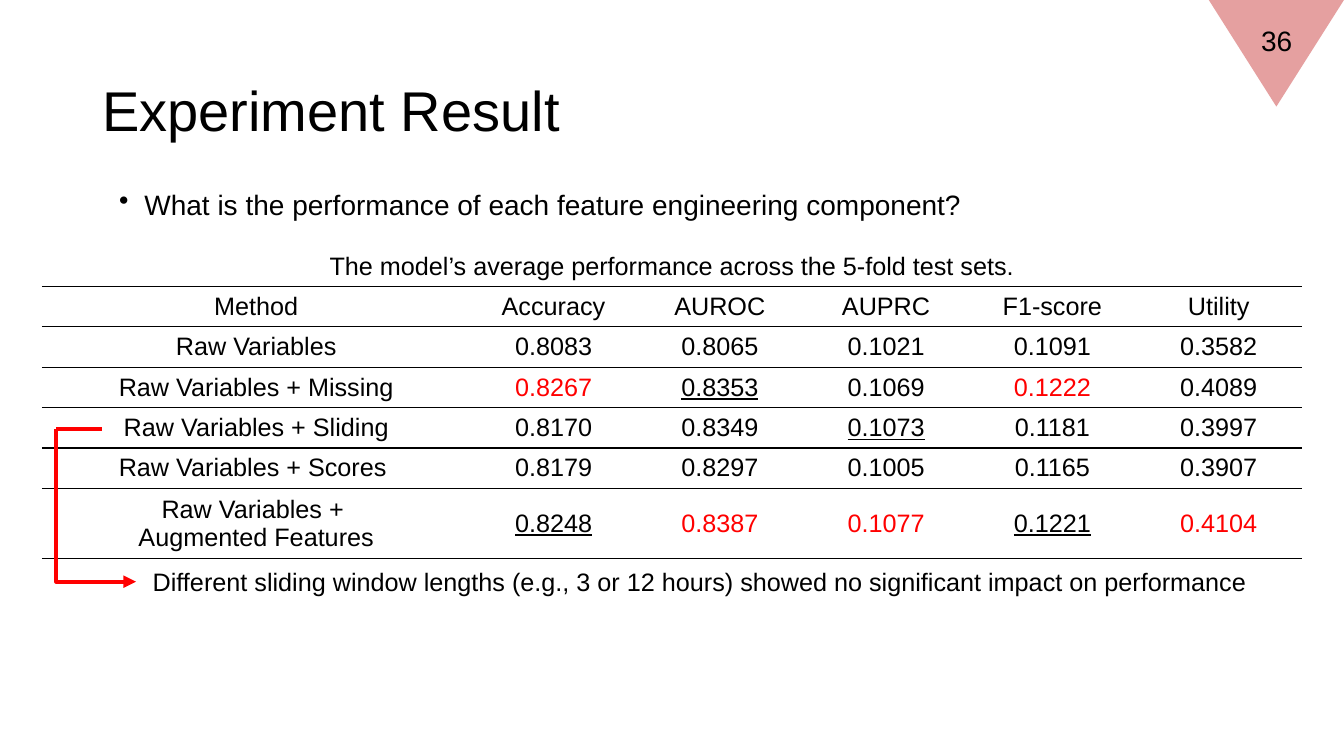
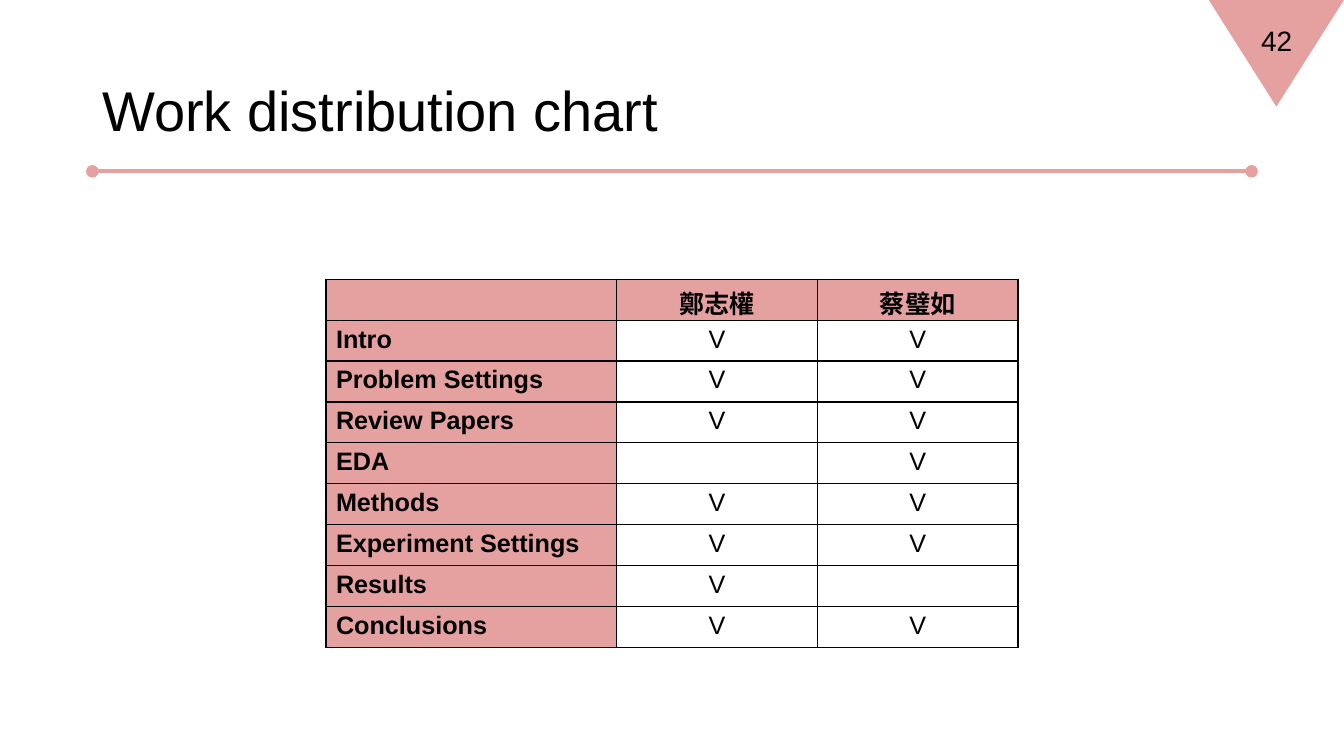
from lxml import etree
from pptx import Presentation
from pptx.dml.color import RGBColor
from pptx.enum.shapes import MSO_CONNECTOR, MSO_SHAPE
from pptx.enum.text import MSO_ANCHOR, PP_ALIGN
from pptx.oxml.ns import qn
from pptx.util import Inches, Pt

LEFT, CENTER = PP_ALIGN.LEFT, PP_ALIGN.CENTER
TOP, MIDDLE = MSO_ANCHOR.TOP, MSO_ANCHOR.MIDDLE
STRAIGHT, ELBOW = MSO_CONNECTOR.STRAIGHT, MSO_CONNECTOR.ELBOW
TRIANGLE = MSO_SHAPE.ISOSCELES_TRIANGLE

WIDTH, HEIGHT = 13.33, 7.5
COLUMNS, ROWS = 160, 90
BLACK, RED, ROSE = "000000", "FF0000", "E5A0A0"
LATIN, CHINESE = "Arial", "Noto Sans CJK SC"


def color(code):
    return RGBColor.from_string(code)


def across(columns):
    return Inches(WIDTH * columns / COLUMNS)


def down(rows):
    return Inches(HEIGHT * rows / ROWS)


def box(left, top, width, height):
    return across(left), down(top), across(width), down(height)


class Deck:
    def __init__(self):
        self.presentation = Presentation()
        self.presentation.slide_width = Inches(WIDTH)
        self.presentation.slide_height = Inches(HEIGHT)
        self.shapes = None

    def slide(self, title, number):
        blank = self.presentation.slide_layouts[6]
        self.shapes = self.presentation.slides.add_slide(blank).shapes
        heading = self.text(title, (11, 4.8, 138, 17.4), 40, anchor=MIDDLE)
        heading.line_spacing = 0.9
        badge = self.shapes.add_shape(TRIANGLE, *box(143.9, 0, 16.1, 12.7))
        badge.shadow.inherit = False
        badge.fill.solid()
        badge.fill.fore_color.rgb = color(ROSE)
        badge.line.fill.background()
        badge.element.spPr.find(qn("a:xfrm")).set("flipV", "1")
        self.text(number, (146.3, 2.2, 11.4, 5.3), 20, align=CENTER)

    def style_text(self, paragraph, content, size, align=LEFT, ink=BLACK,
                   face=LATIN, bold=False, underline=False):
        paragraph.text = content
        paragraph.alignment = align
        font = paragraph.font
        font.size, font.name = Pt(size), face
        font.bold, font.underline = bold, underline
        font.color.rgb = color(ink)
        if face != LATIN:
            defaults = paragraph._p.pPr.find(qn("a:defRPr"))
            etree.SubElement(defaults, qn("a:ea"), typeface=face)

    def text(self, content, place, size, align=LEFT, anchor=TOP):
        frame = self.shapes.add_textbox(*box(*place)).text_frame
        frame.word_wrap = True
        frame.vertical_anchor = anchor
        paragraph = frame.paragraphs[0]
        self.style_text(paragraph, content, size, align)
        return paragraph

    def bullet(self, content, place, size):
        paragraph = self.text(content, place, size)
        paragraph.line_spacing = 1.5
        paragraph.space_before = Pt(10)
        properties = paragraph._p.pPr
        properties.set("marL", str(Inches(0.25)))
        properties.set("indent", str(-Inches(0.25)))
        mark = etree.Element(qn("a:buChar"), char="•")
        properties.find(qn("a:defRPr")).addprevious(mark)

    def line(self, start, end, ink, kind=STRAIGHT, head=None, tail=None):
        connector = self.shapes.add_connector(
            kind, across(start[0]), down(start[1]), across(end[0]), down(end[1]))
        connector.line.color.rgb = color(ink)
        connector.line.width = Pt(3)
        properties = connector.element.spPr
        outline = properties.find(qn("a:ln"))
        for tag, tip in (("a:headEnd", head), ("a:tailEnd", tail)):
            if tip:
                etree.SubElement(outline, qn(tag), type=tip)
        etree.SubElement(properties, qn("a:effectLst"))
        return connector

    def down_then_right(self, start, end, ink):
        wide = across(end[0] - start[0])
        tall = down(end[1] - start[1])
        arrow = self.line(start, end, ink, ELBOW, tail="triangle")
        arrow.left = across(start[0]) + (wide - tall) // 2
        arrow.top = down(start[1]) + (tall - wide) // 2
        arrow.width, arrow.height = tall, wide
        properties = arrow.element.spPr
        transform = properties.find(qn("a:xfrm"))
        transform.set("rot", "16200000")
        transform.set("flipH", "1")
        properties.find(qn("a:prstGeom")).set("prst", "bentConnector2")

    def table(self, left, top, widths, heights):
        frame = self.shapes.add_table(
            len(heights), len(widths),
            *box(left, top, sum(widths), sum(heights)))
        grid = frame.table
        grid.first_row = grid.horz_banding = False
        for column, width in zip(grid.columns, widths):
            column.width = across(width)
        for row, height in zip(grid.rows, heights):
            row.height = down(height)
        return grid

    def cell(self, cell, content, borders, fill=None, anchor=TOP, **style):
        self.style_text(cell.text_frame.paragraphs[0], content, 18, **style)
        cell.vertical_anchor = anchor
        if fill:
            cell.fill.solid()
            cell.fill.fore_color.rgb = color(fill)
        else:
            cell.fill.background()
        properties = cell._tc.get_or_add_tcPr()
        for position, side in enumerate("LRTB"):
            edge = etree.Element(qn("a:ln" + side), w=str(Pt(1)))
            if side in borders:
                paint = etree.SubElement(edge, qn("a:solidFill"))
                etree.SubElement(paint, qn("a:srgbClr"), val=BLACK)
            else:
                etree.SubElement(edge, qn("a:noFill"))
            properties.insert(position, edge)


CAPTION = "The model’s average performance across the 5-fold test sets."
SCORES = [
    ("Method", "Accuracy", "AUROC", "AUPRC", "F1-score", "Utility"),
    ("Raw Variables", "0.8083", "0.8065", "0.1021", "0.1091", "0.3582"),
    ("Raw Variables + Missing", "0.8267", "0.8353", "0.1069", "0.1222", "0.4089"),
    ("Raw Variables + Sliding", "0.8170", "0.8349", "0.1073", "0.1181", "0.3997"),
    ("Raw Variables + Scores ", "0.8179", "0.8297", "0.1005", "0.1165", "0.3907"),
    ("Raw Variables + \vAugmented Features",
     "0.8248", "0.8387", "0.1077", "0.1221", "0.4104"),
]
BEST = {"0.8267", "0.8387", "0.1077", "0.1222", "0.4104"}
RUNNERS_UP = {"0.8248", "0.8353", "0.1073", "0.1221"}

MEMBERS = ("鄭志權", "蔡璧如")
TASKS = [
    ("Intro", "V", "V"),
    ("Problem Settings", "V", "V"),
    ("Review Papers", "V", "V"),
    ("EDA", "", "V"),
    ("Methods", "V", "V"),
    ("Experiment Settings", "V", "V"),
    ("Results", "V", ""),
    ("Conclusions", "V", "V"),
]


def experiment_result(deck):
    deck.slide("Experiment Result", "36")
    results = deck.table(5, 29.3, [51] + [19.8] * 5, [4.57] * 6 + [7.96])
    results.cell(0, 0).merge(results.cell(0, 5))
    for column in range(6):
        deck.cell(results.cell(0, column), "" if column else CAPTION, "B",
                  anchor=MIDDLE, align=CENTER)
    for row, scores in enumerate(SCORES, 1):
        for column, score in enumerate(scores):
            deck.cell(results.cell(row, column), score, "TB",
                      anchor=MIDDLE, align=CENTER,
                      ink=RED if score in BEST else BLACK,
                      underline=score in RUNNERS_UP)
    deck.bullet("What is the performance of each feature engineering component?",
                (13, 19.7, 138, 9.7), 20)
    sliding = (6.7, 51.1)
    deck.down_then_right(sliding, (16.2, 69.25), RED)
    deck.line(sliding, (12.1, 51.1), RED)
    deck.text("Different sliding window lengths (e.g., 3 or 12 hours) "
              "showed no significant impact on performance",
              (17, 66.85, 135, 4.8), 18)


def work_distribution(deck):
    deck.slide("Work distribution chart", "42")
    deck.line((11, 20.4), (149, 20.4), ROSE, head="oval", tail="oval")
    duties = deck.table(38.8, 33.25, [34.6, 23.9, 23.9],
                        [4.87] * (len(TASKS) + 1))
    for row, entries in enumerate([("", *MEMBERS), *TASKS]):
        for column, entry in enumerate(entries):
            heading = row == 0 or column == 0
            deck.cell(duties.cell(row, column), entry, "LRTB",
                      fill=ROSE if heading else None, bold=heading,
                      align=CENTER if column else LEFT,
                      face=CHINESE if entry in MEMBERS else LATIN)


def main():
    deck = Deck()
    experiment_result(deck)
    work_distribution(deck)
    deck.presentation.save("out.pptx")


if __name__ == "__main__":
    main()
